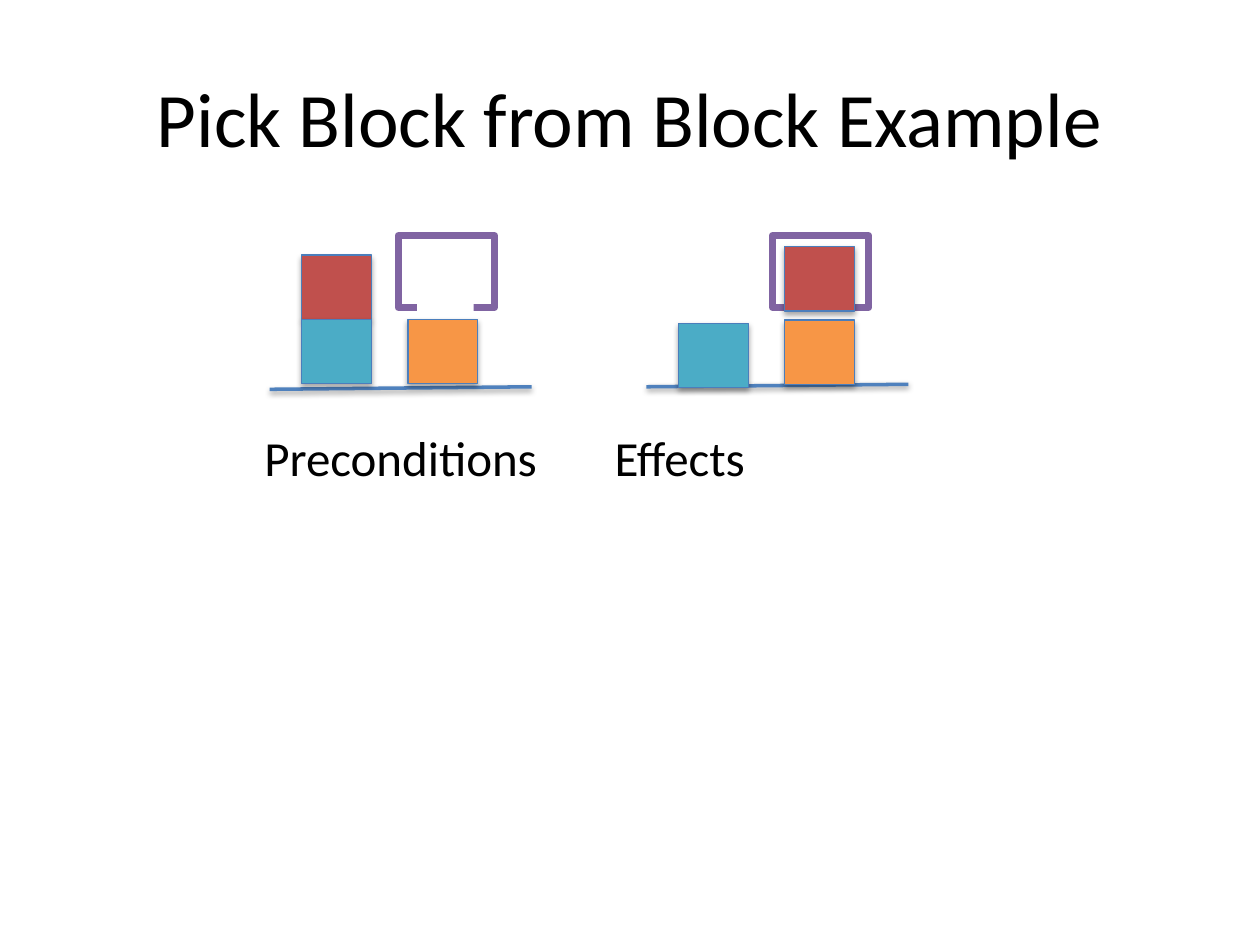
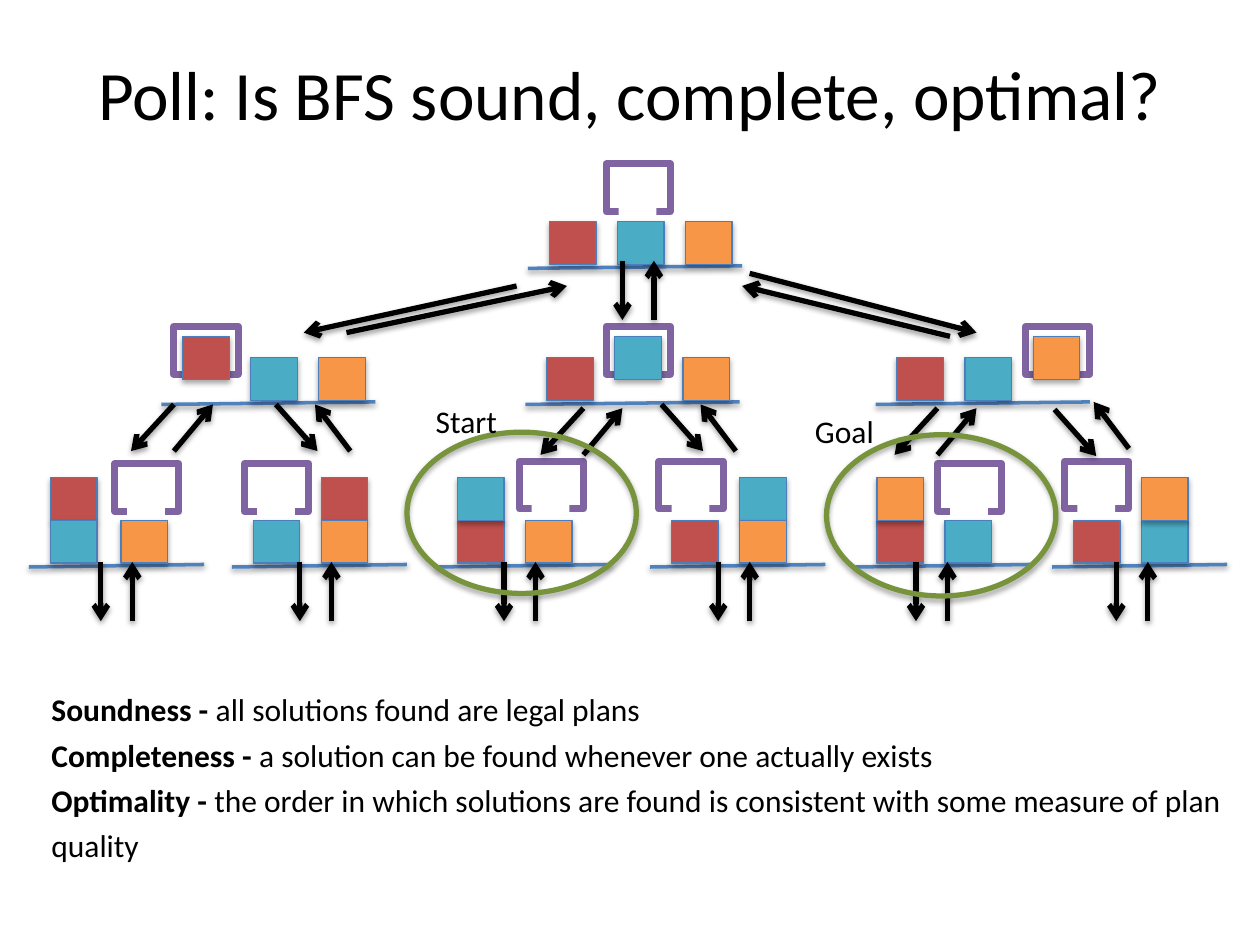
from pptx import Presentation
from pptx import util as u
from pptx.dml import color
from pptx.enum import shapes, text
from pptx.oxml import ns, xmlchemy
from lxml import etree

COLORS = {
    "text": "000000",
    "paper": "FFFFFF",
    "red": "C0504D",
    "blue": "4BACC6",
    "orange": "F79646",
    "block edge": "4B7EBC",
    "ground": "4F81BD",
    "gripper": "8064A2",
    "highlight": "77933C",
}
FONT = "Calibri"
CM_PER_INCH = 2.54

# Sizes of a block world at scale 1, in inches
BLOCK_WIDTH, BLOCK_HEIGHT = 0.37, 0.34
FIRST_COLUMN, COLUMN_PITCH = 0.17, 0.54
GROUND_TO_BLOCK_TOP = 0.37
WIDE_COLUMN = 1.04


def length(inches):
    return u.Cm(inches * CM_PER_INCH)


def rgb(name):
    return color.RGBColor.from_string(COLORS[name])


def add_xml(parent, tag, **attributes):
    child = etree.SubElement(parent, ns.qn(tag))
    for key, value in attributes.items():
        child.set(key, str(value))
    return child


def set_effects(properties, shadow=None):
    """Replace the effects by a soft shadow (opacity %, distance pt) or by none."""
    for old in properties.findall(ns.qn("a:effectLst")):
        properties.remove(old)
    effects = add_xml(properties, "a:effectLst")
    if shadow:
        opacity, distance = shadow
        outer = add_xml(effects, "a:outerShdw", blurRad=u.Pt(3.15),
                        dist=u.Pt(distance), dir=5400000, rotWithShape=0)
        tint = add_xml(outer, "a:srgbClr", val=COLORS["text"])
        add_xml(tint, "a:alpha", val=opacity * 1000)


class BlockWorldDeck:
    def __init__(self):
        self.presentation = Presentation()
        self.presentation.slide_width = length(10)
        self.presentation.slide_height = length(7.5)
        self.slide = None

    def new_slide(self, title, top, size):
        layout = self.presentation.slide_layouts[6]
        self.slide = self.presentation.slides.add_slide(layout)
        self.text((0, top, 10, 1.25), [[(title, False)]], size,
                  align=text.PP_ALIGN.CENTER, anchor=text.MSO_ANCHOR.MIDDLE)

    def text(self, box, paragraphs, size, align=text.PP_ALIGN.LEFT,
             anchor=text.MSO_ANCHOR.TOP, wrap=True, spacing=None, tabs=()):
        """Add paragraphs, each a list of (wording, bold) runs."""
        shape = self.slide.shapes.add_textbox(*map(length, box))
        frame = shape.text_frame
        frame.word_wrap = wrap
        frame.vertical_anchor = anchor
        for index, runs in enumerate(paragraphs):
            paragraph = frame.add_paragraph() if index else frame.paragraphs[0]
            paragraph.alignment = align
            if spacing:
                paragraph.line_spacing = spacing
            if tabs:
                stops = add_xml(paragraph._p.get_or_add_pPr(), "a:tabLst")
                for stop in tabs:
                    add_xml(stops, "a:tab", pos=length(stop), algn="l")
            for wording, bold in runs:
                run = paragraph.add_run()
                run.text = wording
                run.font.name = FONT
                run.font.size = u.Pt(size)
                run.font.bold = bold
                run.font.color.rgb = rgb("text")

    def shape(self, kind, box, fill=None, edge=None, width=0.75, shadow=None):
        shape = self.slide.shapes.add_shape(kind, *map(length, box))
        if fill:
            shape.fill.solid()
            shape.fill.fore_color.rgb = rgb(fill)
        else:
            shape.fill.background()
        if edge:
            shape.line.color.rgb = rgb(edge)
            shape.line.width = u.Pt(width)
        else:
            shape.line.fill.background()
        set_effects(shape.element.spPr, shadow)

    def line(self, start, end, name, width, arrow=False):
        connector = self.slide.shapes.add_connector(
            shapes.MSO_CONNECTOR.STRAIGHT, *map(length, start + end))
        connector.line.color.rgb = rgb(name)
        connector.line.width = u.Pt(width)
        properties = connector.element.spPr
        if arrow:
            add_xml(properties.find(ns.qn("a:ln")), "a:tailEnd", type="arrow")
        set_effects(properties, (38, 1.57))

    def arrow(self, tail, tip):
        self.line(tail, tip, "text", 3, arrow=True)

    def gripper(self, left, top, is_open, scale):
        rectangle = shapes.MSO_SHAPE.RECTANGLE
        self.shape(rectangle, (left, top, 0.51 * scale, 0.38 * scale),
                   edge="gripper", width=4)
        if is_open:
            self.shape(rectangle, (left + 0.1 * scale, top + 0.31 * scale,
                                   0.3 * scale, 0.12 * scale), fill="paper")

    def world(self, ground, ground_width, gripper, blocks, is_open=True, scale=1):
        """Draw one state; each block is (colour, column, level above ground)."""
        x, y = ground
        self.line((x, y), (x + ground_width, y - 0.02), "ground", 2)
        self.gripper(*gripper, is_open, scale)
        for name, column, level in blocks:
            left = x + scale * (FIRST_COLUMN + COLUMN_PITCH * column)
            top = y - scale * (GROUND_TO_BLOCK_TOP + BLOCK_HEIGHT * level)
            self.shape(shapes.MSO_SHAPE.RECTANGLE,
                       (left, top, BLOCK_WIDTH * scale, BLOCK_HEIGHT * scale),
                       name, "block edge", shadow=(35, 1.8))

    def vertical_pair(self, x, top, bottom):
        self.arrow((x, top), (x, bottom))
        self.arrow((x + 0.25, bottom), (x + 0.25, top))

    def highlight(self, left, top):
        self.shape(shapes.MSO_SHAPE.OVAL, (left, top, 1.82, 1.28),
                   edge="highlight", width=3, shadow=(35, 1.8))


def build_pick_example(deck):
    deck.new_slide("Pick Block from Block Example", 0.3, 44)
    deck.text((0.5, 3.34, 9.5, 3.61), [[("\tPreconditions\tEffects", False)]],
              28, tabs=(1.5, 4.28))
    deck.world((5.13, 3.07), 2.08, (6.13, 1.87),
               [("blue", 0, -0.1), ("orange", WIDE_COLUMN, -0.05),
                ("red", WIDE_COLUMN, 1.09)], is_open=False, scale=1.5)
    deck.world((2.14, 3.09), 2.08, (3.16, 1.87),
               [("red", 0, 1), ("blue", 0, 0), ("orange", WIDE_COLUMN, 0)],
               scale=1.5)


def build_search_poll(deck):
    deck.new_slide("Poll: Is BFS sound, complete, optimal?", 0.11, 39.6)
    colors = ("red", "blue", "orange")
    deck.world((4.19, 2.13), 1.7, (4.81, 1.3),
               [(name, column, 0) for column, name in enumerate(colors)])

    for held, (x, gripper_x) in enumerate(((1.28, 1.38), (4.17, 4.81), (6.95, 8.14))):
        blocks = [(name, column, 0.5 if column == held else 0)
                  for column, name in enumerate(colors)]
        deck.world((x, 3.21), 1.7, (gripper_x, 2.59), blocks, is_open=False)

    leaves = [
        (0.23, (0.91, 3.68), [("red", 0, 1), ("blue", 0, 0), ("orange", WIDE_COLUMN, 0)]),
        (1.84, (1.94, 3.68), [("red", 1, 1), ("blue", 0, 0), ("orange", 1, 0)]),
        (3.46, (4.12, 3.66), [("red", 0, 0), ("blue", 0, 1), ("orange", 1, 0)]),
        (5.16, (5.23, 3.66), [("red", 0, 0), ("blue", 1, 1), ("orange", 1, 0)]),
        (6.79, (7.44, 3.68), [("red", 0, 0), ("blue", 1, 0), ("orange", 0, 1)]),
        (8.35, (8.45, 3.66), [("red", 0, 0), ("blue", 1, 0), ("orange", 1, 1)]),
    ]
    for x, gripper, blocks in leaves:
        deck.world((x, 4.5), 1.39, gripper, blocks)

    deck.vertical_pair(4.94, 2.07, 2.54)
    for x in (0.8, 2.38, 4, 5.7, 7.27, 8.86):
        deck.vertical_pair(x, 4.46, 4.93)

    # Between the root and the outer states
    deck.arrow((4.1, 2.27), (2.41, 2.64))
    deck.arrow((2.75, 2.64), (4.5, 2.27))
    deck.arrow((5.95, 2.17), (7.75, 2.64))
    deck.arrow((7.54, 2.67), (5.89, 2.27))

    # Between the middle states and their left and right leaves
    drop = 0.37
    for x, y in ((1.38, 3.21), (4.63, 3.24), (7.44, 3.24)):
        deck.arrow((x, y), (x - 0.34, y + drop))
        deck.arrow((x, y + drop), (x + 0.31, y))
    for x, down_y, up_y in ((2.19, 3.21, 3.21), (5.25, 3.21, 3.21), (8.37, 3.25, 3.19)):
        deck.arrow((x, down_y), (x + 0.33, down_y + drop))
        deck.arrow((x + 0.59, up_y + drop), (x + 0.31, up_y))

    deck.highlight(3.23, 3.43)
    deck.highlight(6.56, 3.45)
    deck.text((3.36, 3.14, 0.69, 0.4), [[("Start", False)]], 18, wrap=False)
    deck.text((6.37, 3.22, 0.67, 0.4), [[("Goal", False)]], 18, wrap=False)

    definitions = {
        "Soundness - ": "all solutions found are legal plans",
        "Completeness - ": "a solution can be found whenever one actually exists",
        "Optimality - ": "the order in which solutions are found is consistent "
                         "with some measure of plan quality",
    }
    deck.text((0.31, 5.37, 9.5, 1.56),
              [[(term, True), (meaning, False)] for term, meaning in definitions.items()],
              18, spacing=1.2)


def main():
    deck = BlockWorldDeck()
    build_pick_example(deck)
    build_search_poll(deck)
    deck.presentation.save("out.pptx")


if __name__ == "__main__":
    main()
